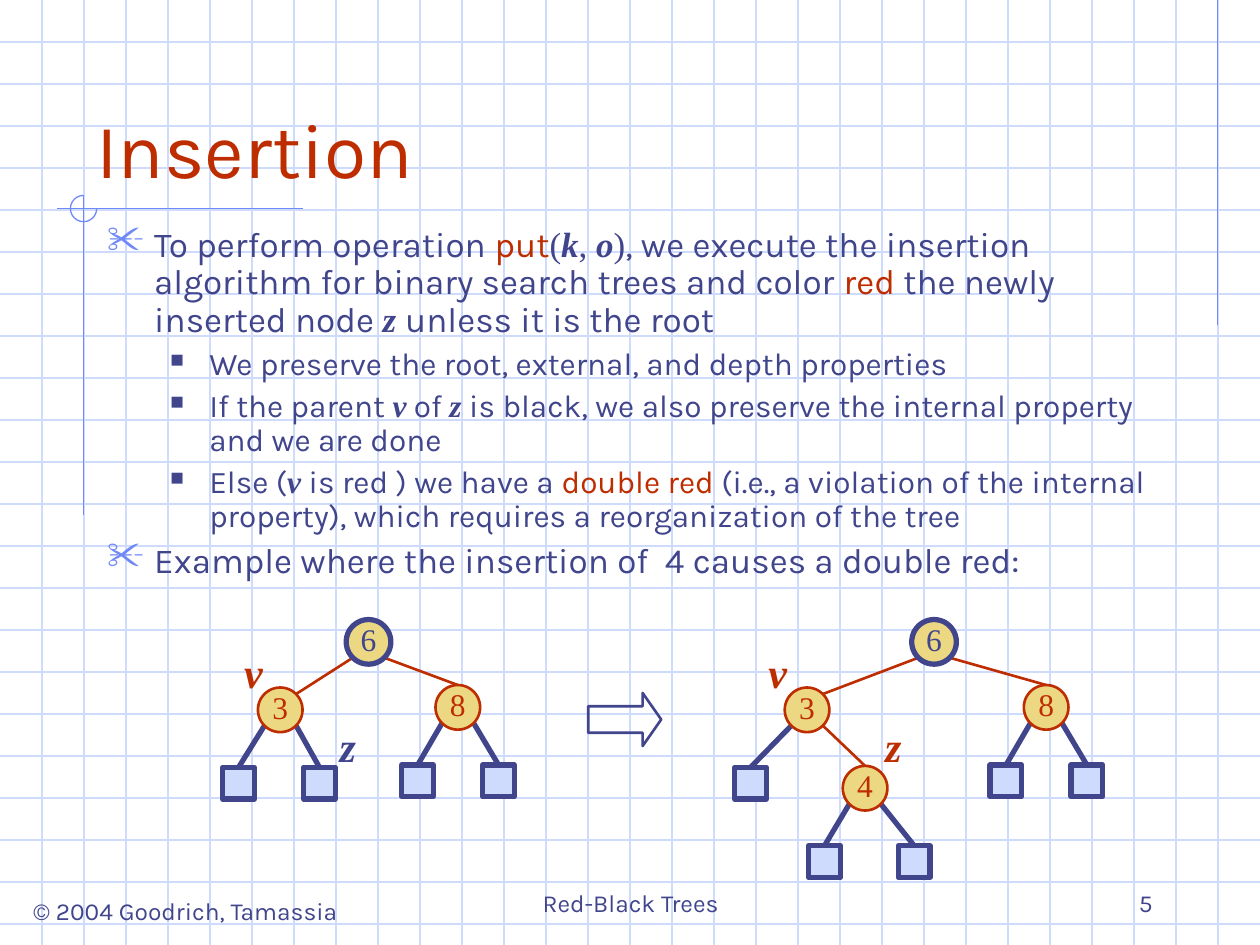
from lxml import etree
from pptx import Presentation
from pptx import util as u
from pptx.dml.color import RGBColor
from pptx.enum import shapes, text
from pptx.oxml import ns

INK = RGBColor(0x40, 0x45, 0x8C)
RED = RGBColor(0xBE, 0x2D, 0x00)
GRID = RGBColor(0xCF, 0xDB, 0xFD)
RULE = RGBColor(0x6F, 0x89, 0xF7)
GOLD = RGBColor(0xEC, 0xD8, 0x82)

SANS = {"name": "Karla", "bold": False, "italic": False}
SERIF = {"name": "Times New Roman", "bold": False, "italic": False}
VARIABLE = {"name": "Times New Roman", "bold": True, "italic": True}
STYLES = {"plain": (SANS, INK), "red": (SANS, RED), "math": (SERIF, INK), "var": (VARIABLE, INK)}

LEVELS = [
    {"size": 20, "before": 5, "margin": 0.95, "hang": 0.95, "bullet": "✂", "scale": 110, "color": RULE},
    {"size": 18, "before": 4.5, "margin": 2.06, "hang": 0.79, "bullet": "■", "scale": 60, "color": INK},
]
BODY = [
    (0, [("To perform operation ", "plain"), ("put", "red"), ("(", "math"), ("k", "var"),
         (", ", "math"), ("o", "var"), (")", "math"),
         (", we execute the insertion algorithm for binary search trees and color ", "plain"),
         ("red", "red"), (" the newly inserted node ", "plain"), ("z ", "var"),
         ("unless it is the root", "plain")]),
    (1, [("We preserve the root, external, and depth properties", "plain")]),
    (1, [("If the parent ", "plain"), ("v", "var"), (" of ", "plain"), ("z", "var"),
         (" is black, we also preserve the internal property and we are done", "plain")]),
    (1, [("Else (", "plain"), ("v", "var"), (" is red ) we have a ", "plain"), ("double red", "red"),
         (" (i.e., a violation of the internal property), "
          "which requires a reorganization of the tree", "plain")]),
    (0, [("Example where the insertion of  4 causes a double red:", "plain")]),
]

NODE_SIZE, LEAF_SIZE = 0.9, 0.64
CORNER = 0.32
LEAF_DROP = 1.48
TREES = [
    ("6", 7.43, 12.94, ("3", 5.65, 14.31, 4.81, 6.44), ("8", 9.23, 14.26, 8.42, 10.05)),
    ("6", 18.83, 12.94, ("3", 16.27, 14.31, 15.13, ("4", 17.44, 15.89, 16.62, 18.43)),
     ("8", 21.09, 14.26, 20.28, 21.91)),
]
LABELS = [("v", 4.67, 12.9, RED), ("z", 6.58, 14.4, INK), ("v", 15.24, 12.9, RED), ("z", 17.58, 14.4, RED)]


def set_all(target, values):
    """Set every attribute named in a dict."""
    for name, value in values.items():
        setattr(target, name, value)


def place(shape, left, top, width, height):
    """Position a shape in centimetres."""
    set_all(shape, {"left": u.Cm(left), "top": u.Cm(top), "width": u.Cm(width), "height": u.Cm(height)})


def add_run(paragraph, words, size, style, color):
    """Append one formatted run."""
    run = paragraph.add_run()
    run.text = words
    set_all(run.font, {**style, "size": u.Pt(size)})
    run.font.color.rgb = color


def add_line(slide, start, end, color, width):
    """Draw a straight line between two points in centimetres."""
    line = slide.shapes.add_connector(shapes.MSO_CONNECTOR.STRAIGHT, *map(u.Cm, start + end))
    line.line.color.rgb = color
    line.line.width = u.Pt(width)
    etree.SubElement(line.element.spPr, ns.qn("a:effectLst"))
    return line


def add_figure(slide, kind, box, fill, color, width):
    """Add an outlined preset shape."""
    shape = slide.shapes.add_shape(kind, *map(u.Cm, box))
    shape.shadow.inherit = False
    if fill is None:
        shape.fill.background()
    else:
        shape.fill.solid()
        shape.fill.fore_color.rgb = fill
    shape.line.color.rgb = color
    shape.line.width = u.Pt(width)
    return shape


def add_label(slide, words, box, size, style, color, align="CENTER", anchor="TOP", wrap=True):
    """Add a one-line text box."""
    frame = slide.shapes.add_textbox(*map(u.Cm, box)).text_frame
    set_all(frame, {"word_wrap": wrap, "vertical_anchor": text.MSO_ANCHOR[anchor]})
    frame.paragraphs[0].alignment = text.PP_ALIGN[align]
    add_run(frame.paragraphs[0], words, size, style, color)


def add_background(slide):
    """Draw the graph paper and the accent rules."""
    step = 25.4 / 30
    for row in range(1, 23):
        add_line(slide, (0, row * step), (25.4, row * step), GRID, 0.75)
    for column in range(1, 30):
        add_line(slide, (column * step, 0), (column * step, 19.05), GRID, 0.75)
    for start, end in [((24.55, 0), (24.55, 6.55)), ((6.1, 4.21), (1.14, 4.21)), ((1.69, 3.94), (1.69, 10.39))]:
        add_line(slide, start, end, RULE, 0.75)
    arc = add_figure(slide, shapes.MSO_SHAPE.ARC, (1.42, 3.94, 0.53, 0.53), None, RULE, 0.75)
    arc.adjustments[0], arc.adjustments[1] = 0, 162


def add_title(slide):
    """Format the title placeholder and bring it in front of the grid."""
    title = slide.shapes.title
    place(title, 1.69, 0.85, 21.59, 3.18)
    title.element.getparent().append(title.element)
    frame = title.text_frame
    set_all(frame, {"vertical_anchor": text.MSO_ANCHOR.BOTTOM, "auto_size": text.MSO_AUTO_SIZE.NONE})
    frame.paragraphs[0].alignment = text.PP_ALIGN.LEFT
    add_run(frame.paragraphs[0], "Insertion", 44, SANS, RED)


def set_bullet(paragraph, level):
    """Give a paragraph its hanging indent and bullet."""
    properties = paragraph._p.get_or_add_pPr()
    properties.set("marL", str(u.Cm(level["margin"])))
    properties.set("indent", str(-u.Cm(level["hang"])))
    color = etree.SubElement(properties, ns.qn("a:buClr"))
    etree.SubElement(color, ns.qn("a:srgbClr"), val=str(level["color"]))
    etree.SubElement(properties, ns.qn("a:buSzPct"), val=str(level["scale"] * 1000))
    etree.SubElement(properties, ns.qn("a:buChar"), char=level["bullet"])


def add_body(slide):
    """Write the bulleted explanation."""
    frame = slide.shapes.add_textbox(*map(u.Cm, (1.91, 4.45, 22.43, 7.83))).text_frame
    frame.word_wrap = True
    for index, (depth, runs) in enumerate(BODY):
        paragraph = frame.add_paragraph() if index else frame.paragraphs[0]
        level = LEVELS[depth]
        set_all(paragraph, {"level": depth, "line_spacing": 0.9, "space_before": u.Pt(level["before"])})
        set_bullet(paragraph, level)
        for words, style in runs:
            add_run(paragraph, words, level["size"], *STYLES[style])


def add_leaf(slide, x, y):
    """Add an external node centred on a point."""
    box = (x - LEAF_SIZE / 2, y - LEAF_SIZE / 2, LEAF_SIZE, LEAF_SIZE)
    return add_figure(slide, shapes.MSO_SHAPE.RECTANGLE, box, GRID, INK, 3)


def add_node(slide, key, x, y, color, width):
    """Add an internal node centred on a point."""
    box = (x - NODE_SIZE / 2, y - NODE_SIZE / 2, NODE_SIZE, NODE_SIZE)
    frame = add_figure(slide, shapes.MSO_SHAPE.OVAL, box, GOLD, color, width).text_frame
    set_all(frame, {"margin_left": 0, "margin_right": 0, "margin_top": 0, "margin_bottom": u.Cm(0.13),
                    "word_wrap": False, "vertical_anchor": text.MSO_ANCHOR.MIDDLE})
    frame.paragraphs[0].alignment = text.PP_ALIGN.CENTER
    add_run(frame.paragraphs[0], key, 18, SERIF, color)


def add_tree(slide, tree, is_root=True):
    """Draw a node, its edges and everything below it."""
    key, x, y, *children = tree
    for side, child in zip((-1, 1), children):
        start = (x + side * CORNER, y + CORNER)
        if isinstance(child, tuple):
            child_x, child_y = child[1:3]
            top = (child_x + CORNER, child_y - CORNER) if side < 0 else (child_x, child_y - NODE_SIZE / 2)
            add_line(slide, start, top, RED, 1.5)
            add_tree(slide, child, False)
        else:
            leaf = add_leaf(slide, child, y + LEAF_DROP)
            edge = add_line(slide, start, (child, y + LEAF_DROP - LEAF_SIZE / 2), INK, 3)
            edge.end_connect(leaf, 0)
    add_node(slide, key, x, y, *((INK, 3) if is_root else (RED, 1.5)))


def main():
    """Build and save the slide."""
    presentation = Presentation()
    set_all(presentation, {"slide_width": u.Cm(25.4), "slide_height": u.Cm(19.05)})
    slide = presentation.slides.add_slide(presentation.slide_layouts[5])
    add_background(slide)
    add_label(slide, "© 2004 Goodrich, Tamassia", (0.3, 17.93, 6.88, 0.86), 14, SANS, INK, wrap=False)
    add_label(slide, "Red-Black Trees", (8.69, 17.35, 8.05, 1.27), 14, SANS, INK, anchor="BOTTOM")
    add_label(slide, "5", (18.21, 17.35, 5.28, 1.27), 14, SANS, INK, "RIGHT", "BOTTOM")
    add_title(slide)
    add_body(slide)
    for tree in TREES:
        add_tree(slide, tree)
    for name, left, top, color in LABELS:
        add_label(slide, name, (left, top, 0.86, 1.27), 24, VARIABLE, color)
    arrow = add_figure(slide, shapes.MSO_SHAPE.RIGHT_ARROW, (11.86, 13.97, 1.47, 1.07), None, INK, 1.5)
    arrow.adjustments[1] = 0.35
    presentation.save("out.pptx")


if __name__ == "__main__":
    main()
